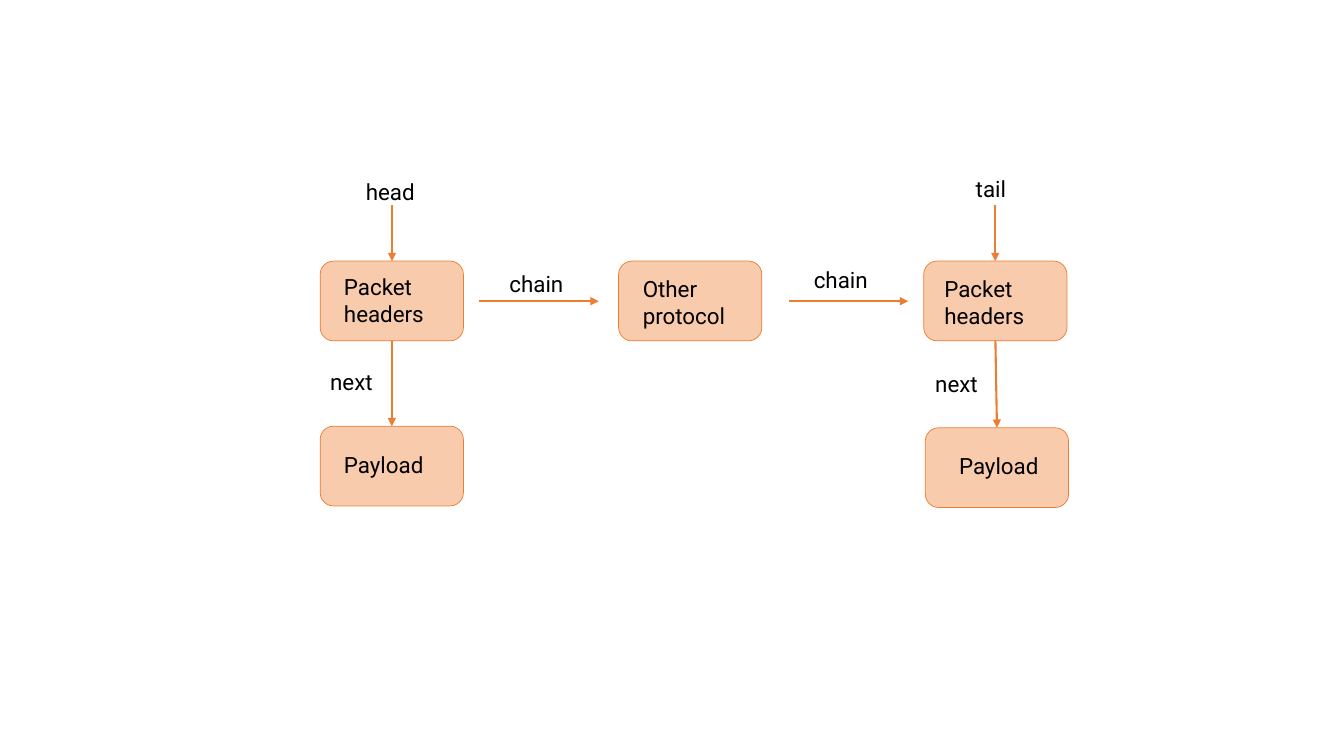
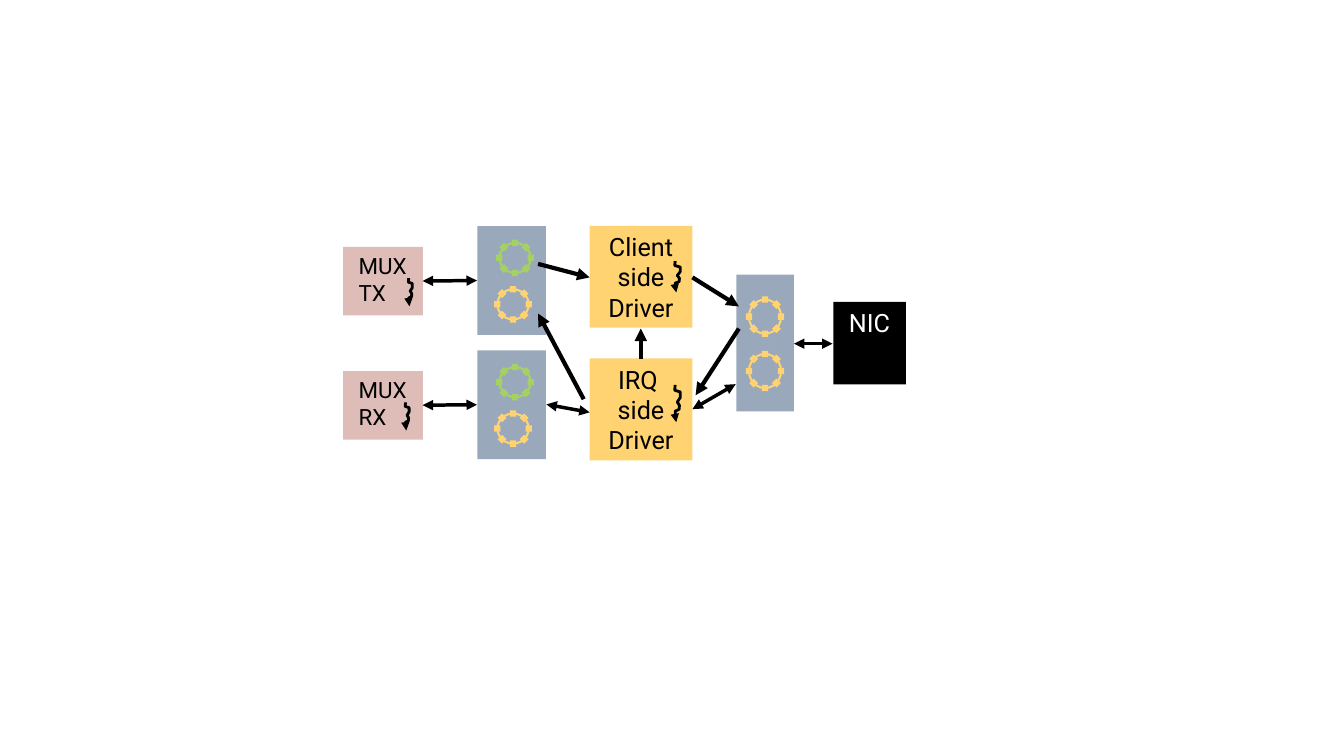
from math import cos, radians, sin

from lxml import etree
from pptx import Presentation
from pptx.dml.color import RGBColor
from pptx.enum.shapes import MSO_CONNECTOR, MSO_SHAPE
from pptx.enum.text import MSO_ANCHOR, PP_ALIGN
from pptx.oxml.ns import qn
from pptx.util import Cm, Pt

RECTANGLE = MSO_SHAPE.RECTANGLE
ROUNDED = MSO_SHAPE.ROUNDED_RECTANGLE
OVAL = MSO_SHAPE.OVAL
STRAIGHT = MSO_CONNECTOR.STRAIGHT
TOP, MIDDLE = MSO_ANCHOR.TOP, MSO_ANCHOR.MIDDLE
LEFT, CENTER = PP_ALIGN.LEFT, PP_ALIGN.CENTER

BLACK = RGBColor(0x00, 0x00, 0x00)
WHITE = RGBColor(0xFF, 0xFF, 0xFF)
ORANGE = RGBColor(0xED, 0x7D, 0x31)
PEACH = RGBColor(0xF8, 0xCB, 0xAD)
PINK = RGBColor(0xDE, 0xBD, 0xB9)
YELLOW = RGBColor(0xFF, 0xD3, 0x72)
GREEN = RGBColor(0xA5, 0xD1, 0x62)
SLATE = RGBColor(0x9A, 0xA8, 0xBC)

FONT = "Roboto"
TOP_SITE, BOTTOM_SITE = 0, 2
ROW_STEP = 3.13
LINE_HEIGHT, TWO_LINES = 0.94, 1.63

# Start point, then Bezier curves, as shares of the squiggle's width and height
SQUIGGLE_START = (0.45, 0)
SQUIGGLE_CURVES = [
    ((0, 0.16), (0.64, 0.16), (0.91, 0.19)),
    ((1, 0.38), (0.91, 0.3), (0.64, 0.46)),
    ((0.73, 0.49), (1, 0.59), (0.82, 0.65)),
    ((0.73, 0.68), (0.45, 0.7), (0.45, 0.7)),
    ((0.36, 0.84), (0.45, 0.86), (0.73, 0.92)),
    ((0.64, 1), (0.73, 1), (0.55, 1)),
]
CURVE_STEPS = 2


def write(shape, paragraphs, size, color=BLACK, align=CENTER, anchor=MIDDLE):
    frame = shape.text_frame
    frame.word_wrap = True
    frame.vertical_anchor = anchor
    for index, text in enumerate(paragraphs):
        paragraph = frame.paragraphs[0] if index == 0 else frame.add_paragraph()
        paragraph.alignment = align
        run = paragraph.add_run()
        run.text = text
        run.font.name = FONT
        run.font.size = Pt(size)
        run.font.color.rgb = color


def add_shape(slide, kind, left, top, width, height, fill=None, line=None, weight=0.5):
    shape = slide.shapes.add_shape(kind, Cm(left), Cm(top), Cm(width), Cm(height))
    shape.shadow.inherit = False
    if fill is None:
        shape.fill.background()
    else:
        shape.fill.solid()
        shape.fill.fore_color.rgb = fill
    if line is None:
        shape.line.fill.background()
    else:
        shape.line.color.rgb = line
        shape.line.width = Pt(weight)
    return shape


def style_arrow(shape, color, weight, ends):
    """Colour the line of a connector or outline and put arrowheads on its ends."""
    shape.line.color.rgb = color
    shape.line.width = Pt(weight)
    line = shape.element.spPr.find(qn("a:ln"))
    for end in ends:
        etree.SubElement(line, qn(f"a:{end}"), type="triangle")


def add_arrow(slide, start, end, color=BLACK, weight=3.0, double=False):
    points = [Cm(value) for value in (*start, *end)]
    arrow = slide.shapes.add_connector(STRAIGHT, *points)
    style_arrow(arrow, color, weight, ["headEnd", "tailEnd"] if double else ["tailEnd"])
    etree.SubElement(arrow.element.spPr, qn("a:effectLst"))
    return arrow


def add_link(slide, start, end):
    """Draw a two-way arrow."""
    add_arrow(slide, start, end, weight=2.5, double=True)


def add_label(slide, text, left, top, width, height=LINE_HEIGHT):
    label = slide.shapes.add_textbox(Cm(left), Cm(top), Cm(width), Cm(height))
    write(label, [text], 16, align=LEFT, anchor=TOP)


def add_packet_box(slide, left, top):
    return add_shape(slide, ROUNDED, left, top, 3.61, 2.01, PEACH, ORANGE)


def add_packet_arrow(slide, start, end):
    return add_arrow(slide, start, end, ORANGE, 1.5)


def add_ring(slide, center_x, center_y, width, height, color):
    """Draw a circle with eight square slots evenly around it."""
    add_shape(slide, OVAL, center_x - width / 2, center_y - height / 2,
              width, height, line=color, weight=1.5)
    slot = 0.16
    for angle in range(0, 360, 45):
        x = center_x + width / 2 * cos(radians(angle))
        y = center_y + height / 2 * sin(radians(angle))
        square = add_shape(slide, RECTANGLE, x - slot / 2, y - slot / 2, slot, slot, color)
        square.rotation = angle % 90


def curve_point(points, t):
    """Return the point at share t of a cubic Bezier curve."""
    weights = ((1 - t) ** 3, 3 * t * (1 - t) ** 2, 3 * t ** 2 * (1 - t), t ** 3)
    return tuple(sum(weight * point[axis] for weight, point in zip(weights, points))
                 for axis in (0, 1))


def add_squiggle(slide, left, top, width, height):
    """Draw the wavy arrow that marks a thread."""
    def place(point):
        return Cm(left + width * point[0]), Cm(top + height * point[1])

    points = []
    start = SQUIGGLE_START
    for curve in SQUIGGLE_CURVES:
        points += [place(curve_point((start, *curve), step / CURVE_STEPS))
                   for step in range(1, CURVE_STEPS + 1)]
        start = curve[-1]
    builder = slide.shapes.build_freeform(*place(SQUIGGLE_START))
    builder.add_line_segments(points, close=False)
    squiggle = builder.convert_to_shape()
    squiggle.shadow.inherit = False
    squiggle.fill.background()
    style_arrow(squiggle, BLACK, 2, ["tailEnd"])


def add_mux_row(slide, text, offset, squiggle_left):
    """Draw a MUX box, its link and its queue, moved down by offset."""
    box = add_shape(slide, RECTANGLE, 8.65, 6.22 + offset, 2.01, 1.73, PINK)
    frame = box.text_frame
    frame.margin_left, frame.margin_right, frame.margin_bottom = Cm(0.39), 0, Cm(0.24)
    write(box, [text], 16, align=LEFT)
    add_squiggle(slide, squiggle_left, 7.01 + offset, 0.2, 0.71)
    add_shape(slide, RECTANGLE, 12.03, 5.7 + offset, 1.73, 2.74, SLATE)
    add_link(slide, (12.02, 7.07 + offset), (10.65, 7.08 + offset))
    add_ring(slide, 12.98, 6.5 + offset, 0.79, 0.76, GREEN)
    add_ring(slide, 12.93, 7.67 + offset, 0.79, 0.76, YELLOW)


def add_driver(slide, paragraphs, top, squiggle_top, squiggle_height):
    driver = add_shape(slide, RECTANGLE, 14.86, top, 2.59, 2.57, YELLOW)
    write(driver, paragraphs, 18)
    add_squiggle(slide, 16.89, squiggle_top, 0.28, squiggle_height)


def build_packet_chain(slide):
    first = add_packet_box(slide, 8.07, 6.58)
    add_packet_box(slide, 15.59, 6.58)
    last = add_packet_box(slide, 23.28, 6.58)
    first_payload = add_packet_box(slide, 8.07, 10.74)
    last_payload = add_packet_box(slide, 23.32, 10.78)

    for x in (9.88, 25.08):
        add_packet_arrow(slide, (x, 5.16), (x, 6.58))
    for start, end in ((12.07, 15.09), (19.89, 22.89)):
        add_packet_arrow(slide, (start, 7.59), (end, 7.59))
    for headers, payload in ((first, first_payload), (last, last_payload)):
        arrow = add_packet_arrow(slide, (0, 0), (0, 0))
        arrow.begin_connect(headers, BOTTOM_SITE)
        arrow.end_connect(payload, TOP_SITE)

    for text, left, top, width in (
        ("head", 8.97, 4.37, 1.8),
        ("tail", 24.34, 4.29, 1.57),
        ("chain", 12.59, 6.68, 2.41),
        ("chain", 20.26, 6.58, 2.13),
        ("next", 8.07, 9.14, 1.8),
        ("next", 23.32, 9.2, 1.8),
        ("Payload", 8.42, 11.25, 3.0),
        ("Payload", 23.92, 11.27, 2.97),
    ):
        add_label(slide, text, left, top, width)
    for text, left, top in (
        ("Packet headers", 8.42, 6.77),
        ("Other protocol", 15.95, 6.8),
        ("Packet headers", 23.55, 6.81),
    ):
        add_label(slide, text, left, top, 3.43, TWO_LINES)


def build_driver_queues(slide):
    nic = add_shape(slide, RECTANGLE, 21.0, 7.61, 1.83, 2.08, BLACK)
    write(nic, ["NIC"], 18, WHITE, anchor=TOP)
    add_mux_row(slide, "MUX TX", 0, 10.21)
    add_mux_row(slide, "MUX RX", ROW_STEP, 10.13)
    add_driver(slide, ["Client side Driver"], 5.69, 6.58, 0.79)
    add_driver(slide, ["IRQ ", "side Driver"], 9.03, 9.7, 0.94)
    add_shape(slide, RECTANGLE, 18.56, 6.92, 1.45, 3.45, SLATE)
    for center_y in (7.98, 9.35):
        add_ring(slide, 19.28, center_y, 0.81, 0.86, YELLOW)

    for start, end in (
        ((20.98, 8.66), (20.01, 8.66)),
        ((18.54, 9.68), (17.45, 10.31)),
        ((14.86, 10.39), (13.77, 10.19)),
    ):
        add_link(slide, start, end)
    for start, end in (
        ((16.15, 9.04), (16.15, 8.28)),
        ((17.45, 6.99), (18.62, 7.72)),
        ((18.62, 8.28), (17.53, 9.96)),
        ((13.56, 6.65), (14.86, 6.99)),
        ((14.71, 10.06), (13.56, 7.9)),
    ):
        add_arrow(slide, start, end)


def main():
    presentation = Presentation()
    presentation.slide_width = Cm(33.87)
    presentation.slide_height = Cm(19.05)
    blank = presentation.slide_layouts[6]
    for build in (build_packet_chain, build_driver_queues):
        build(presentation.slides.add_slide(blank))
    presentation.save("out.pptx")


if __name__ == "__main__":
    main()
